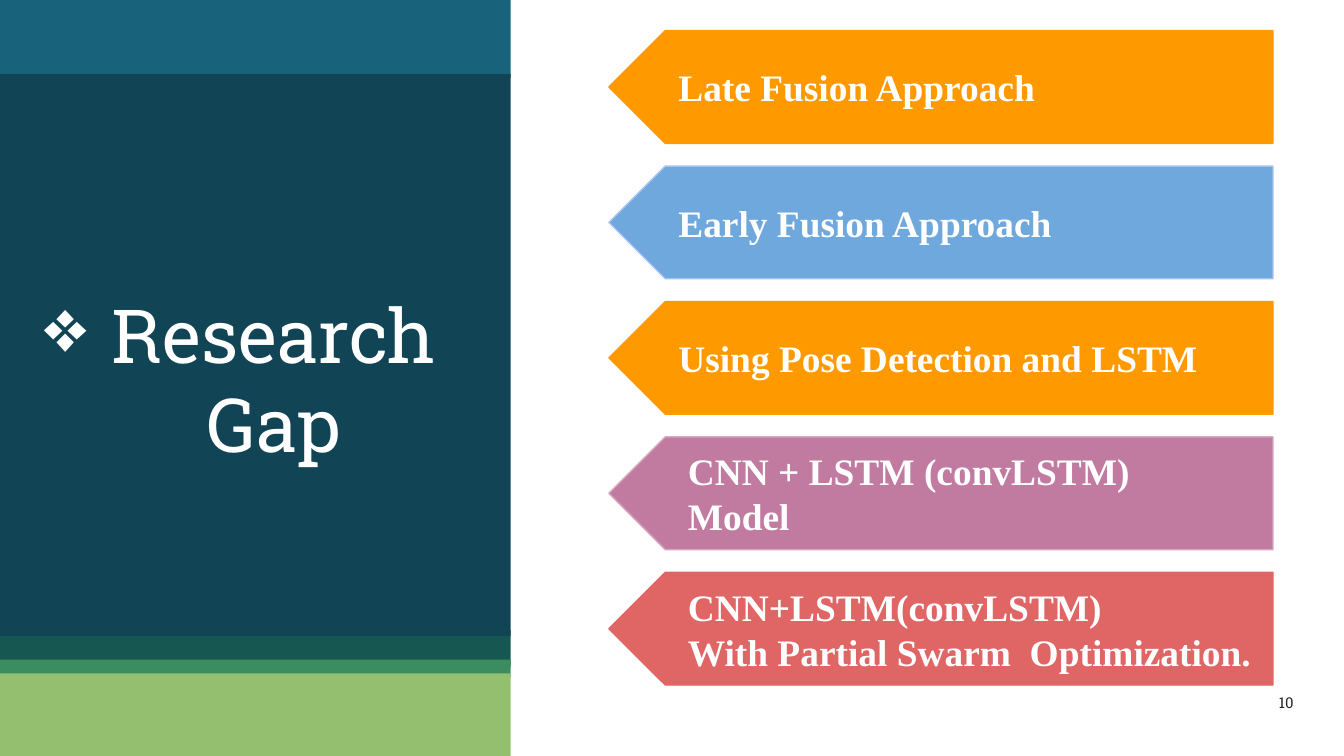
from lxml import etree
from pptx import Presentation
from pptx.dml.color import RGBColor
from pptx.enum import shapes, text
from pptx.oxml.ns import qn
from pptx.util import Cm, Pt

COLOURS = {
    "white": "FFFFFF",
    "ink": "222222",
    "teal": "18637B",
    "navy": "114454",
    "pine": "165751",
    "green": "3B8D61",
    "lime": "94BF6E",
    "orange": "FF9900",
    "blue": "6FA8DC",
    "pale blue": "A4C2F4",
    "mauve": "C27BA0",
    "pale mauve": "D5A6BD",
    "red": "E06666",
}
SLAB = "Roboto Slab"
SERIF = "Times New Roman"
PANEL_WIDTH = 9.65
STRIPES = [
    ("pine", 11.91, 0.69),
    ("teal", 0, 1.47),
    ("navy", 1.4, 10.62),
    ("green", 12.47, 0.33),
    ("lime", 12.73, 1.56),
]
TAG_LEFT, TAG_TOP, TAG_WIDTH, TAG_HEIGHT, TAG_PITCH = 11.51, 0.58, 12.55, 2.13, 2.56
TAGS = [
    (["Late Fusion Approach"], "orange", "orange", 0.53),
    (["Early Fusion Approach"], "blue", "pale blue", 0.53),
    (["Using Pose Detection and LSTM"], "orange", "orange", 0.53),
    (["CNN + LSTM (convLSTM)", "Model"], "mauve", "pale mauve", 0.71),
    (["CNN+LSTM(convLSTM)", "With Partial Swarm  Optimization."], "red", "red", 0.71),
]


def colour(name):
    return RGBColor.from_string(COLOURS[name])


def write(box, lines, *, font, size, ink="white", bold=False, align="LEFT",
          anchor="MIDDLE", margin=0, hanging=0, bullet=None):
    frame = box.text_frame
    frame.word_wrap = True
    frame.vertical_anchor = getattr(text.MSO_ANCHOR, anchor)
    for side in ("left", "top", "right", "bottom"):
        setattr(frame, f"margin_{side}", Cm(0.25))
    for index, line in enumerate(lines):
        para = frame.paragraphs[0] if index == 0 else frame.add_paragraph()
        para.alignment = getattr(text.PP_ALIGN, align)
        properties = para._p.get_or_add_pPr()
        properties.set("marL", str(Cm(margin)))
        properties.set("indent", str(Cm(-hanging)))
        if bullet:
            tint = etree.SubElement(properties, qn("a:buClr"))
            etree.SubElement(tint, qn("a:srgbClr")).set("val", COLOURS[ink])
            etree.SubElement(properties, qn("a:buChar")).set("char", bullet)
        span = para.add_run()
        span.text = line
        span.font.name = font
        span.font.size = Pt(size)
        span.font.bold = bold
        span.font.color.rgb = colour(ink)


class Page:
    def __init__(self, deck):
        self.slide = deck.slides.add_slide(deck.slide_layouts[6])
        self.slide.background.fill.solid()
        self.slide.background.fill.fore_color.rgb = colour("white")

    def shape(self, kind, place, fill, line=None):
        box = self.slide.shapes.add_shape(kind, *map(Cm, place))
        box.shadow.inherit = False
        box.fill.solid()
        box.fill.fore_color.rgb = colour(fill)
        if line:
            box.line.color.rgb = colour(line)
            box.line.width = Pt(0.75)
        else:
            box.line.fill.background()
        return box

    def stripe(self, top, height, fill):
        place = (0, top, PANEL_WIDTH, height)
        self.shape(shapes.MSO_SHAPE.RECTANGLE, place, fill)

    def tag(self, top, lines, fill, line, margin):
        place = (TAG_LEFT, top, TAG_WIDTH, TAG_HEIGHT)
        box = self.shape(shapes.MSO_SHAPE.PENTAGON, place, fill, line)
        box.adjustments[0] = 0.5
        box.element.spPr.get_or_add_xfrm().set("flipH", "1")
        write(box, lines, font=SERIF, size=20, bold=True, margin=margin)

    def label(self, place, words, **style):
        box = self.slide.shapes.add_textbox(*map(Cm, place))
        write(box, [words], font=SLAB, align="CENTER", **style)


def main():
    deck = Presentation()
    deck.slide_width, deck.slide_height = Cm(25.4), Cm(14.29)
    page = Page(deck)
    for fill, top, height in STRIPES:
        page.stripe(top, height, fill)
    page.label((0.53, 4.09, 8.03, 6.12), "Research Gap", size=40,
               margin=1.27, hanging=1.27, bullet="❖")
    for row, tag in enumerate(TAGS):
        page.tag(TAG_TOP + row * TAG_PITCH, *tag)
    page.label((23.55, 12.95, 1.52, 1.09), "10", size=8, ink="ink", anchor="TOP")
    deck.save("out.pptx")


if __name__ == "__main__":
    main()
